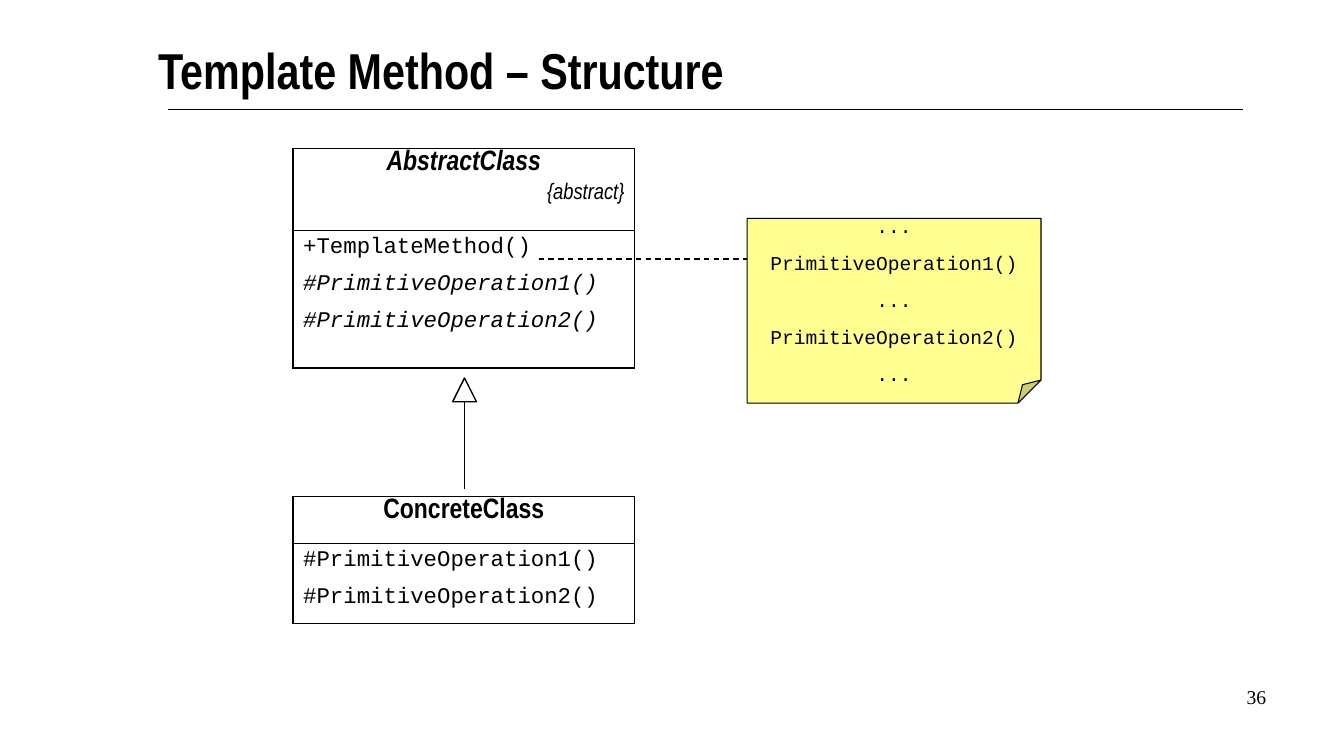
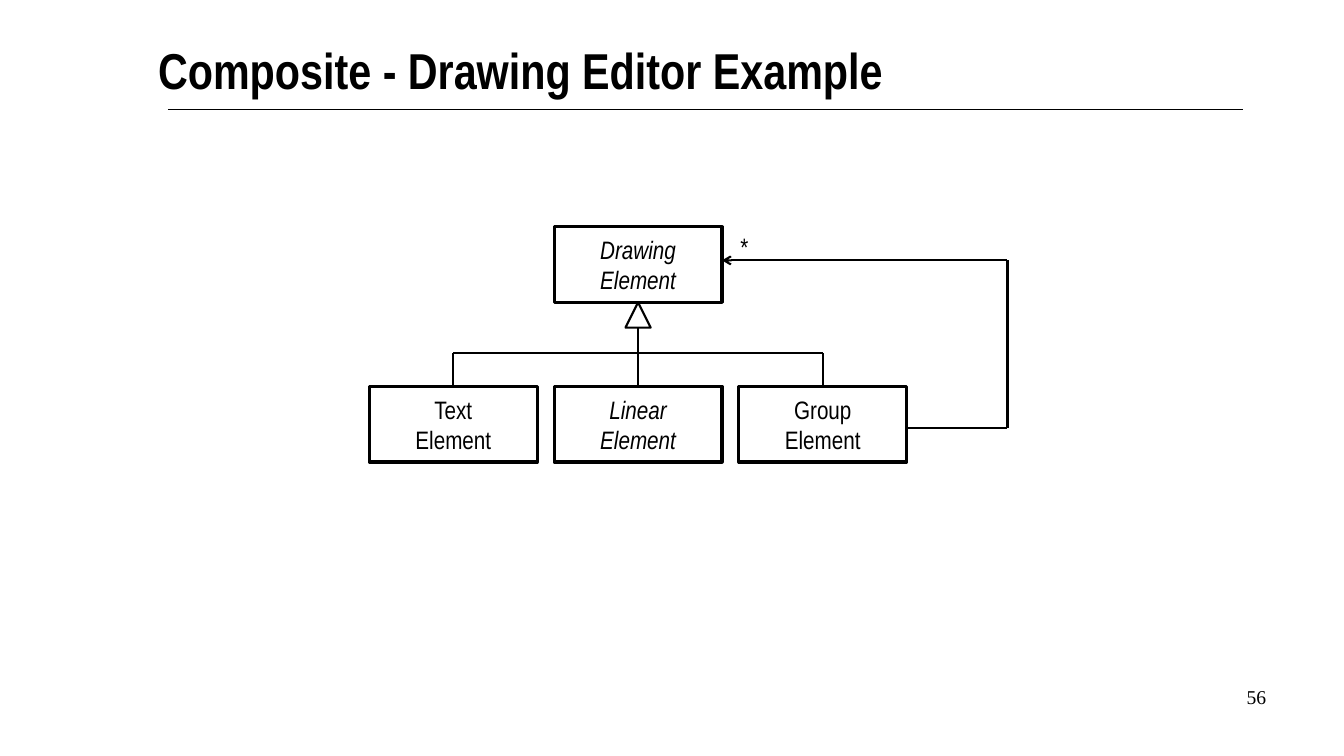
"""Build two design-pattern slides: Template Method structure and a Composite example."""
import pptx
import pptx.dml.color
import pptx.enum.dml
import pptx.enum.shapes
import pptx.enum.text
import pptx.oxml.ns
import pptx.util
from lxml import etree

Pt = pptx.util.Pt
SHAPE = pptx.enum.shapes.MSO_SHAPE
ALIGN = pptx.enum.text.PP_ALIGN
ANCHOR = pptx.enum.text.MSO_ANCHOR
qn = pptx.oxml.ns.qn
BLACK = pptx.dml.color.RGBColor(0x00, 0x00, 0x00)
NOTE_YELLOW = pptx.dml.color.RGBColor(0xFF, 0xFF, 0x91)
NARROW, MONO, SERIF = "Arial Narrow", "Courier New", "Times New Roman"


def write(tf, lines, font, size, align=ALIGN.LEFT, bold=False, italic=False, before=0, spacing=None):
    """Append lines to a text frame, one paragraph each."""
    for text in lines:
        first = not tf.text
        p = tf.paragraphs[0] if first else tf.add_paragraph()
        p.text = text
        p.alignment = align
        p.line_spacing = spacing
        if before and not first:
            p.space_before = Pt(before)
        p.font.name, p.font.size = font, Pt(size)
        p.font.bold, p.font.italic = bold, italic
        p.font.color.rgb = BLACK


def draw_line(s, x1, y1, x2, y2, width):
    """Add a straight black connector without a shadow."""
    c = s.shapes.add_connector(pptx.enum.shapes.MSO_CONNECTOR.STRAIGHT, Pt(x1), Pt(y1), Pt(x2), Pt(y2))
    c.line.color.rgb = BLACK
    c.line.width = Pt(width)
    etree.SubElement(c._element.spPr, qn("a:effectLst"))
    return c


prs = pptx.Presentation()
prs.slide_width, prs.slide_height = Pt(960.48), Pt(540)

slides = []
for title, number in (("Template Method – Structure", "36"), ("Composite - Drawing Editor Example", "56")):
    s = prs.slides.add_slide(prs.slide_layouts[6])
    draw_line(s, 120, 78, 888, 78, 0.75)
    tf = s.shapes.add_textbox(Pt(113), Pt(28), Pt(734), Pt(54)).text_frame
    tf.word_wrap = True
    tf.margin_left = tf.margin_right = tf.margin_top = tf.margin_bottom = 0
    write(tf, [title], NARROW, 36, bold=True)
    tf = s.shapes.add_textbox(Pt(712), Pt(486), Pt(200), Pt(36)).text_frame
    tf.word_wrap = True
    write(tf, [number], SERIF, 14, ALIGN.RIGHT)
    slides.append(s)
structure, composite = slides

operations = ["#PrimitiveOperation1()", "#PrimitiveOperation2()"]
classes = (
    ("AbstractClass", True, ["{abstract}"], ["+TemplateMethod()"], 106, (58.5, 98.5)),
    ("ConcreteClass", False, [], [], 354.5, (33.5, 57.5)),
)
for name, abstract, tags, own_methods, top, heights in classes:
    table = structure.shapes.add_table(2, 1, Pt(209.5), Pt(top), Pt(244), Pt(sum(heights))).table
    table.first_row = table.horz_banding = False
    for i, height in enumerate(heights):
        table.rows[i].height = Pt(height)
        cell = table.cell(i, 0)
        tcPr = cell._tc.get_or_add_tcPr()
        for side in "LRTB":
            inner = side == "BT"[i]
            ln = etree.SubElement(tcPr, qn("a:ln" + side), w=str(Pt(0.45 if inner else 1.08)))
            fill = etree.SubElement(ln, qn("a:solidFill"))
            etree.SubElement(fill, qn("a:srgbClr"), val=str(BLACK))
        cell.fill.background()
    head, body = table.cell(0, 0).text_frame, table.cell(1, 0).text_frame
    write(head, [name], NARROW, 20, ALIGN.CENTER, bold=True, italic=abstract, spacing=0.8)
    write(head, tags, NARROW, 16, ALIGN.RIGHT, italic=True, before=8, spacing=0.8)
    write(body, own_methods, MONO, 16)
    write(body, operations, MONO, 16, italic=abstract, before=8)

draw_line(structure, 332, 287.5, 332, 349, 1)
draw_line(structure, 385, 185, 534, 185, 1).line.dash_style = pptx.enum.dml.MSO_LINE.DASH

note = structure.shapes.add_shape(SHAPE.FOLDED_CORNER, Pt(534), Pt(156), Pt(210), Pt(132))
fold = next(note._element.spPr.iter(qn("a:avLst")))
etree.SubElement(fold, qn("a:gd"), name="adj", fmla="val 12500")
note.shadow.inherit = False
note.fill.solid()
note.fill.fore_color.rgb = NOTE_YELLOW
note.line.color.rgb = BLACK
note.line.width = Pt(0.75)
tf = note.text_frame
tf.word_wrap = False
tf.vertical_anchor = ANCHOR.MIDDLE
calls = ["...", "PrimitiveOperation1()", "...", "PrimitiveOperation2()", "..."]
write(tf, calls, MONO, 14, ALIGN.CENTER, before=9.6)

box_w, box_h, step = 120, 54, 132
left, child_top, bus_y = 264, 276, 252
elements = (
    ("Drawing", True, 1, 162),
    ("Text", False, 0, child_top),
    ("Linear", True, 1, child_top),
    ("Group", False, 2, child_top),
)
for kind, italic, column, top in elements:
    x = left + column * step
    sp = composite.shapes.add_shape(SHAPE.RECTANGLE, Pt(x), Pt(top), Pt(box_w), Pt(box_h))
    sp.shadow.inherit = False
    sp.fill.background()
    sp.line.color.rgb = BLACK
    sp.line.width = Pt(2.25)
    sp.text_frame.vertical_anchor = ANCHOR.MIDDLE
    write(sp.text_frame, [kind, "Element"], NARROW, 18, ALIGN.CENTER, italic=italic)
    if top == child_top:
        center = x + box_w / 2
        stem_end = 234 if column == 1 else bus_y
        draw_line(composite, center, child_top, center, stem_end, 1.5).begin_connect(sp, 0)
draw_line(composite, left + box_w / 2, bus_y, left + 2 * step + box_w / 2, bus_y, 1.5)

for s, x, y, size, width in ((structure, 323.5, 270, 17, 1), (composite, 447, 216, 18, 1.5)):
    sp = s.shapes.add_shape(SHAPE.ISOSCELES_TRIANGLE, Pt(x), Pt(y), Pt(size), Pt(size))
    sp.shadow.inherit = False
    sp.fill.background()
    sp.line.color.rgb = BLACK
    sp.line.width = Pt(width)

loop = [(648, 306), (720, 306), (720, 186), (516, 186)]
for start, end in zip(loop, loop[1:]):
    c = draw_line(composite, *start, *end, 1.5)
etree.SubElement(c._element.spPr.find(qn("a:ln")), qn("a:tailEnd"), type="arrow")

tf = composite.shapes.add_textbox(Pt(522), Pt(162), Pt(20), Pt(29)).text_frame
tf.word_wrap = False
write(tf, ["*"], NARROW, 18)

prs.save("out.pptx")
